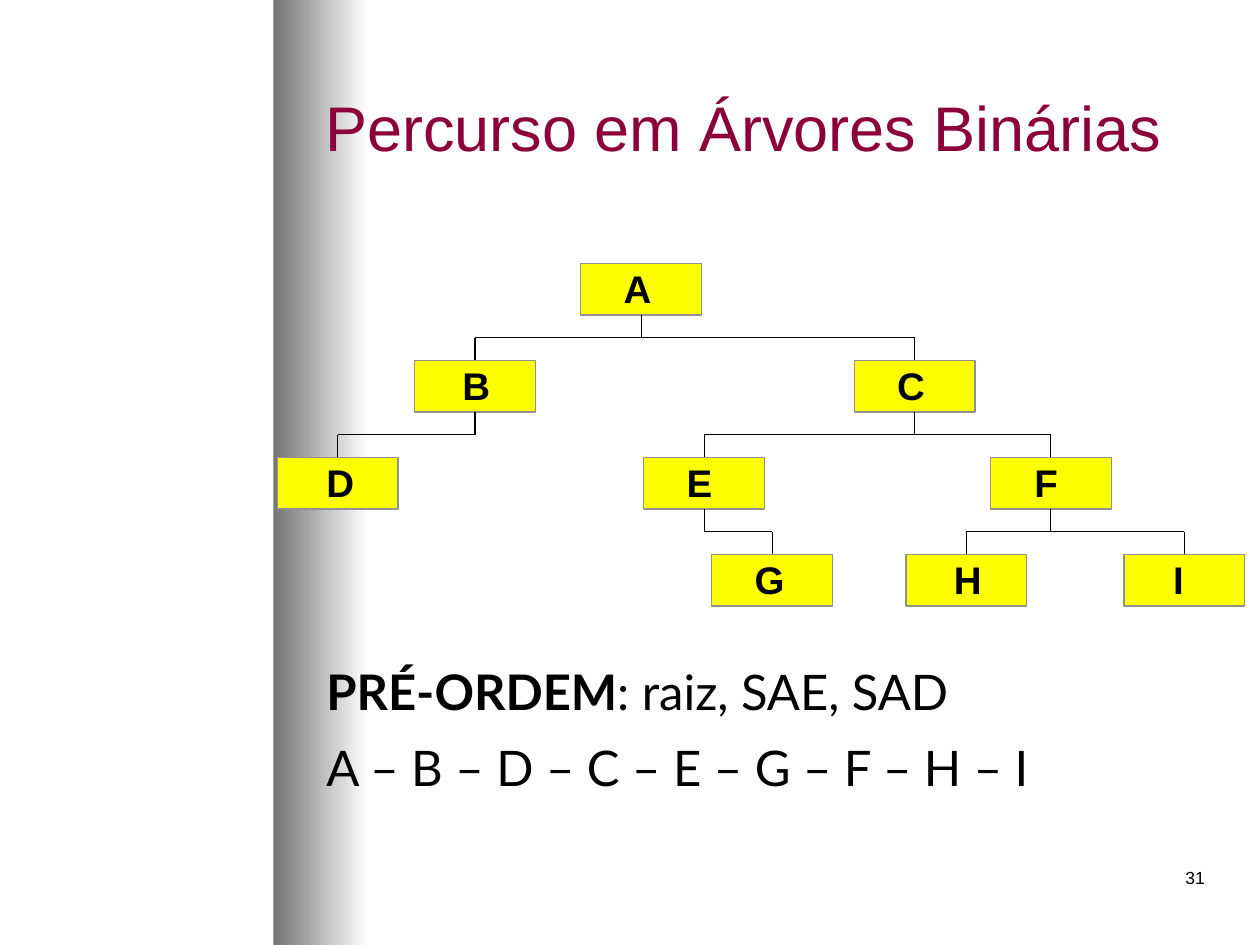
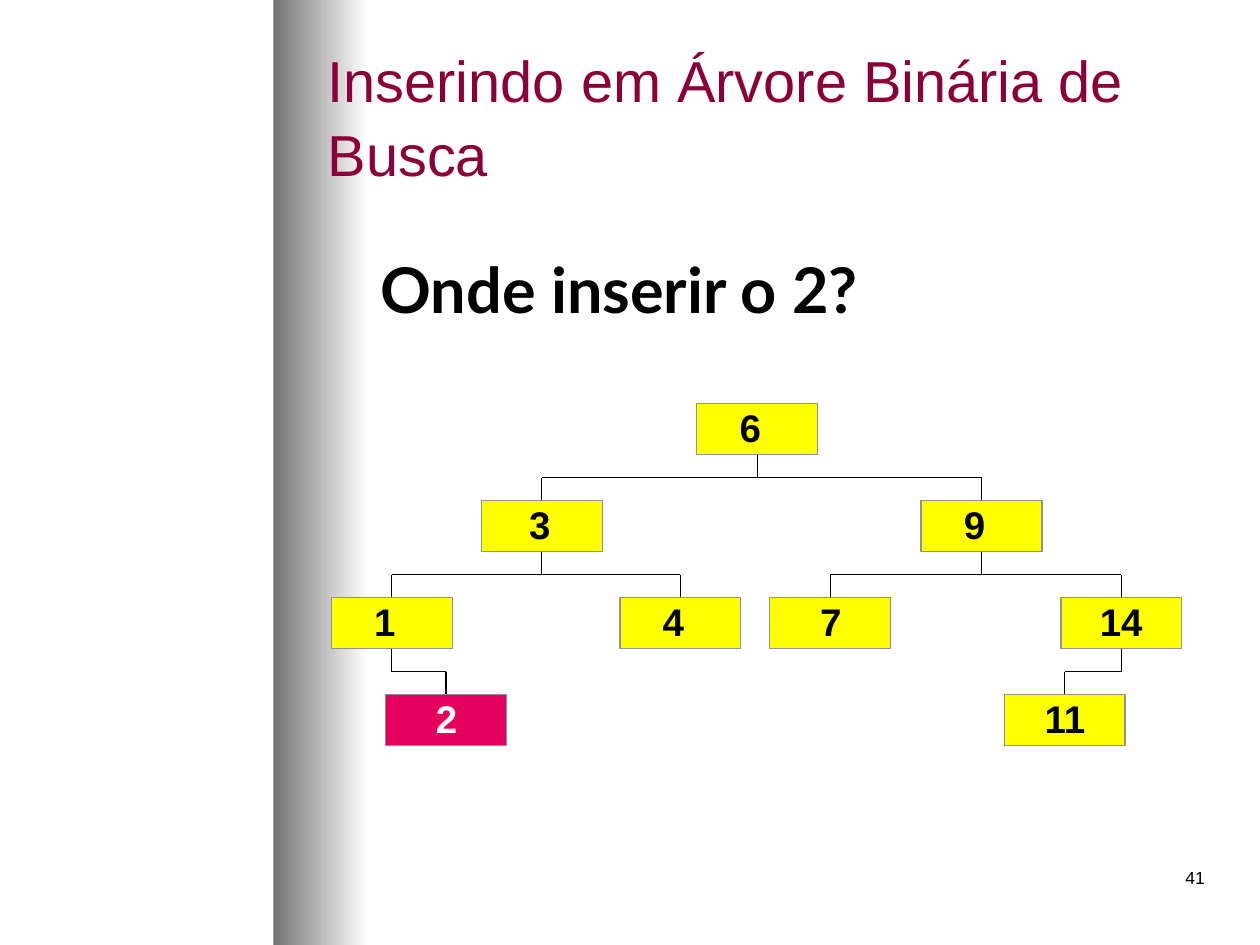
"""Builds two slides about traversing and filling binary trees."""
import lxml.etree
import pptx
import pptx.dml.color
import pptx.enum.shapes
import pptx.enum.text
import pptx.oxml.ns
import pptx.util

Inches = pptx.util.Inches
RGBColor = pptx.dml.color.RGBColor
PP_ALIGN = pptx.enum.text.PP_ALIGN
RECTANGLE = pptx.enum.shapes.MSO_SHAPE.RECTANGLE
STRAIGHT = pptx.enum.shapes.MSO_CONNECTOR.STRAIGHT

WINE = RGBColor(0x8C, 0x00, 0x39)
PINK = RGBColor(0xE4, 0x00, 0x5C)
YELLOW = RGBColor(0xFF, 0xFF, 0x00)
BLACK = RGBColor(0x00, 0x00, 0x00)
WHITE = RGBColor(0xFF, 0xFF, 0xFF)
BORDER_GRAY = RGBColor(0x91, 0x91, 0x91)
BAND_GRAY = RGBColor(0x74, 0x74, 0x74)

TITLE_FONT = "Arial"
BODY_FONT = "Lato"
NODE_WIDTH = 0.96
NODE_HEIGHT = 0.41
ROW_STEP = 0.77

TRAVERSAL_NODES = {
    "A": (0, 4.61, 0.34),
    "B": (1, 3.29, 0.38),
    "C": (1, 6.78, 0.34),
    "D": (2, 2.2, 0.39),
    "E": (2, 5.11, 0.34),
    "F": (2, 7.86, 0.35),
    "G": (3, 5.65, 0.34),
    "H": (3, 7.19, 0.38),
    "I": (3, 8.92, 0.39),
}
TRAVERSAL_BRANCHES = {"A": "BC", "B": "D", "C": "EF", "E": "G", "F": "HI"}

SEARCH_NODES = {
    "6": (0, 5.53, 0.34),
    "3": (1, 3.82, 0.38),
    "9": (1, 7.31, 0.34),
    "1": (2, 2.63, 0.34),
    "4": (2, 4.92, 0.34),
    "7": (2, 6.11, 0.4),
    "14": (2, 8.42, 0.31),
    "11": (3, 7.97, 0.32),
    "2": (3, 3.06, 0.4),
}
SEARCH_BRANCHES = {"6": "39", "3": "14", "9": ["7", "14"], "1": "2", "14": ["11"]}


class TreeDeck:
    """Holds the shared style and the slide being built."""

    def __init__(self):
        self.presentation = pptx.Presentation()
        self.presentation.slide_width = Inches(10)
        self.presentation.slide_height = Inches(7.5)
        self.layout = self.presentation.slide_layouts[1]
        self.slide = None

    def start_slide(self, title, size, box, number):
        first = self.slide is None
        self.slide = self.presentation.slides.add_slide(self.layout)
        if first:
            self.add_band_to_layout()
        self.add_title(title, size, box)
        self.add_number(number)

    def add_band_to_layout(self):
        band = self.add_box(2.17, 0, 0.75, 7.5)
        band.line.fill.background()
        band.fill.gradient()
        band.fill.gradient_angle = 0
        for stop, color in zip(band.fill.gradient_stops, (BAND_GRAY, WHITE)):
            stop.color.rgb = color
        self.layout.shapes.element.insert(2, band.element)

    def add_box(self, left, top, width, height):
        shape = self.slide.shapes.add_shape(
            RECTANGLE, Inches(left), Inches(top), Inches(width), Inches(height))
        shape.shadow.inherit = False
        return shape

    def place(self, shape, box):
        shape.left, shape.top, shape.width, shape.height = map(Inches, box)
        shape.text_frame.word_wrap = True
        shape.text_frame.auto_size = pptx.enum.text.MSO_AUTO_SIZE.NONE

    def style(self, run, font, size, color, bold=False):
        run.font.name = font
        run.font.size = pptx.util.Pt(size)
        run.font.color.rgb = color
        run.font.bold = bold

    def add_title(self, text, size, box):
        title = self.slide.shapes.title
        self.place(title, box)
        title.text_frame.text = text
        title.text_frame.vertical_anchor = pptx.enum.text.MSO_ANCHOR.MIDDLE
        paragraph = title.text_frame.paragraphs[0]
        paragraph.alignment = PP_ALIGN.LEFT
        paragraph.line_spacing = 1.07
        self.style(paragraph.runs[0], TITLE_FONT, size, WINE)

    def add_number(self, number):
        box = self.slide.shapes.add_textbox(0, 0, 0, 0)
        self.place(box, (7.58, 6.83, 2.08, 0.5))
        box.text_frame.text = number
        paragraph = box.text_frame.paragraphs[0]
        paragraph.alignment = PP_ALIGN.RIGHT
        self.style(paragraph.runs[0], TITLE_FONT, 10, BLACK)

    def add_body(self, lines, size, box):
        body = self.slide.placeholders[1]
        self.place(body, box)
        frame = body.text_frame
        for index, line in enumerate(lines):
            paragraph = frame.add_paragraph() if index else frame.paragraphs[0]
            properties = paragraph._p.get_or_add_pPr()
            properties.set("marL", "0")
            properties.set("indent", "0")
            lxml.etree.SubElement(properties, pptx.oxml.ns.qn("a:buNone"))
            paragraph.space_before = pptx.util.Pt(9.6 if index else 0)
            for text, bold in line:
                run = paragraph.add_run()
                run.text = text
                self.style(run, BODY_FONT, size, BLACK, bold)

    def add_node(self, label, left, top, indent, fill, color):
        node = self.add_box(left, top, NODE_WIDTH, NODE_HEIGHT)
        node.fill.solid()
        node.fill.fore_color.rgb = fill
        node.line.color.rgb = BORDER_GRAY
        node.line.width = pptx.util.Pt(0.75)
        frame = node.text_frame
        frame.text = label
        frame.word_wrap = True
        frame.vertical_anchor = pptx.enum.text.MSO_ANCHOR.TOP
        frame.margin_left = Inches(indent)
        frame.margin_top = Inches(0.01)
        frame.margin_right = frame.margin_bottom = 0
        frame.paragraphs[0].alignment = PP_ALIGN.LEFT
        self.style(frame.paragraphs[0].runs[0], TITLE_FONT, 22, color, True)
        return node

    def add_line(self, *ends):
        line = self.slide.shapes.add_connector(STRAIGHT, *ends)
        line.line.color.rgb = BLACK
        line.line.width = pptx.util.Pt(0.75)
        lxml.etree.SubElement(line.element.spPr, pptx.oxml.ns.qn("a:effectLst"))

    def add_branch(self, parent, children):
        parent_x = parent.left + parent.width // 2
        bottom = parent.top + parent.height
        middle = (bottom + children[0].top) // 2
        self.add_line(parent_x, bottom, parent_x, middle)
        for child in children:
            child_x = child.left + child.width // 2
            self.add_line(parent_x, middle, child_x, middle)
            self.add_line(child_x, middle, child_x, child.top)

    def add_tree(self, top, nodes, branches, new_label=None):
        shapes = {}
        for label, (level, left, indent) in nodes.items():
            fill, color = (PINK, WHITE) if label == new_label else (YELLOW, BLACK)
            shapes[label] = self.add_node(
                label, left, top + level * ROW_STEP, indent, fill, color)
        for parent, children in branches.items():
            self.add_branch(shapes[parent], [shapes[child] for child in children])


def main():
    deck = TreeDeck()

    deck.start_slide("Percurso em Árvores Binárias", 36, (2.48, 0.36, 7.02, 1.25), "31")
    deck.add_tree(2.09, TRAVERSAL_NODES, TRAVERSAL_BRANCHES)
    traversal_lines = [
        [("PRÉ-ORDEM", True), (": raiz, SAE, SAD", False)],
        [("A – B – D – C – E – G – F – H – I", False)],
    ]
    deck.add_body(traversal_lines, 28, (2.49, 5.2, 7.15, 1.35))

    deck.start_slide(
        "Inserindo em Árvore Binária de Busca", 33, (2.5, 0.28, 7.23, 1.25), "41")
    deck.add_body([[("Onde inserir o 2?", True)]], 36, (2.92, 1.94, 5.6, 0.94))
    deck.add_tree(3.2, SEARCH_NODES, SEARCH_BRANCHES, new_label="2")

    deck.presentation.save("out.pptx")


if __name__ == "__main__":
    main()
